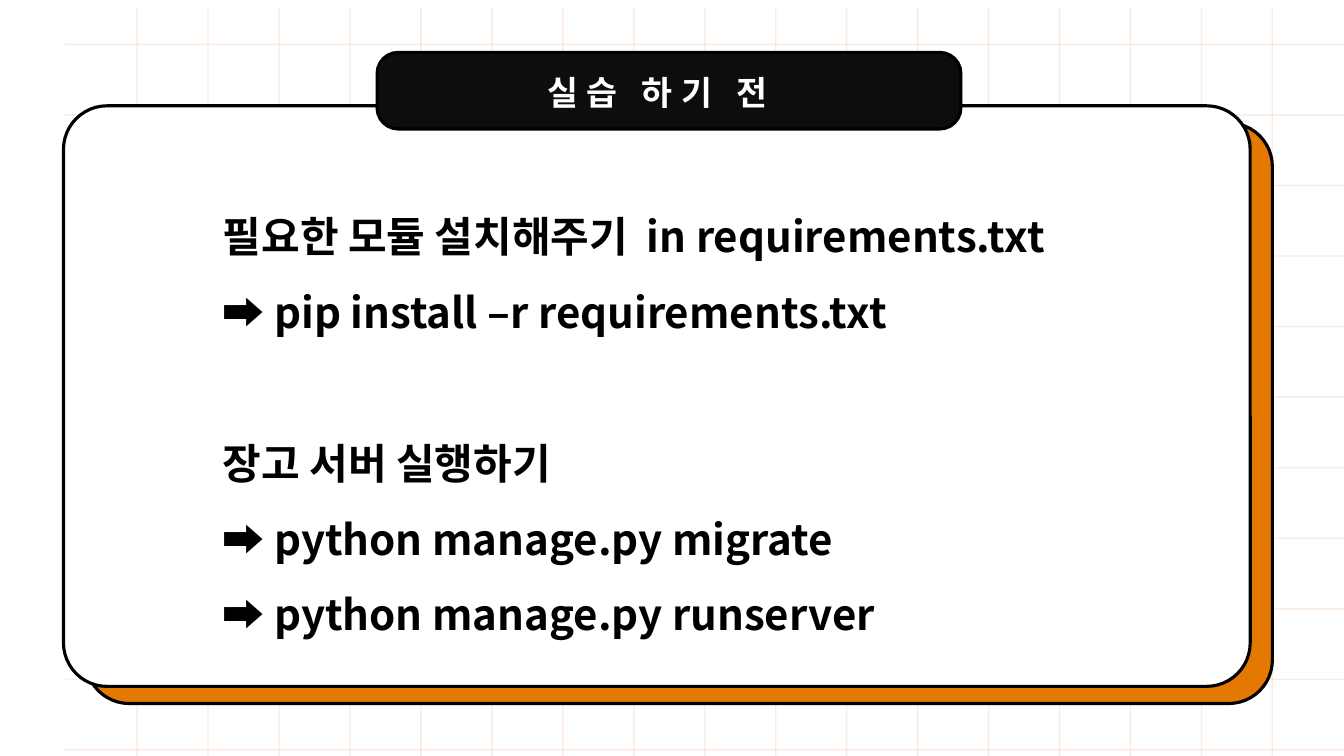
import pptx
import pptx.dml.color
import pptx.enum.shapes
import pptx.enum.text
import pptx.oxml.ns
import pptx.util
from lxml import etree

Inches = pptx.util.Inches
Pt = pptx.util.Pt
COLORS = {"grid": "ED7D31", "shadow": "E37900", "paper": "FFFFFF",
          "tab": "0D0D0D", "ink": "000000"}
FONT = "Noto Sans CJK KR"


def rgb(name):
    return pptx.dml.color.RGBColor.from_string(COLORS[name])


def sub(parent, tag, **attrs):
    return etree.SubElement(parent, pptx.oxml.ns.qn(tag), **attrs)


def add_text(p, text, size, color, spacing=0):
    """Add one bold run; spacing is the extra letter spacing in points."""
    r = p.add_run()
    r.text = text
    r.font.size = Pt(size)
    r.font.bold = True
    r.font.name = FONT
    r.font.color.rgb = rgb(color)
    rpr = r.font._element
    sub(rpr, "a:ea", typeface=FONT)
    if spacing:
        rpr.set("spc", str(int(spacing * 100)))
    return r


class SlideBuilder:
    def __init__(self, slide):
        self.slide = slide
        self.outline = Pt(2.25)

    def group(self):
        return self.slide.shapes.add_group_shape().shapes

    def grid_line(self, shapes, x1, y1, x2, y2):
        line = shapes.add_connector(
            pptx.enum.shapes.MSO_CONNECTOR.STRAIGHT,
            Inches(x1), Inches(y1), Inches(x2), Inches(y2))
        line.line.width = Pt(1)
        line.line.color.rgb = rgb("grid")
        sppr = line._element.spPr
        sub(sppr.find(".//" + pptx.oxml.ns.qn("a:srgbClr")), "a:alpha", val="15000")
        sub(sppr, "a:effectLst")

    def card(self, shapes, x, y, w, h, fill, radius):
        sp = shapes.add_shape(pptx.enum.shapes.MSO_SHAPE.ROUNDED_RECTANGLE,
                              Inches(x), Inches(y), Inches(w), Inches(h))
        sp.adjustments[0] = radius
        sp.shadow.inherit = False
        sp.fill.solid()
        sp.fill.fore_color.rgb = rgb(fill)
        sp.line.color.rgb = rgb("ink")
        sp.line.width = self.outline

    def placeholder(self, sp, x, y, w, h, anchor):
        """Move a placeholder into place, in front of the shapes."""
        self.slide.shapes._spTree.append(sp._element)
        sp.left, sp.top, sp.width, sp.height = map(Inches, (x, y, w, h))
        tf = sp.text_frame
        tf.word_wrap = True
        tf.auto_size = pptx.enum.text.MSO_AUTO_SIZE.NONE
        tf.vertical_anchor = anchor
        return tf

    def title(self, text, x, y, w, h):
        tf = self.placeholder(self.slide.shapes.title, x, y, w, h,
                              pptx.enum.text.MSO_ANCHOR.MIDDLE)
        p = tf.paragraphs[0]
        p.alignment = pptx.enum.text.PP_ALIGN.CENTER
        add_text(p, text, 24, "paper", spacing=6)

    def steps(self, sections, x, y, w, h):
        tf = self.placeholder(self.slide.placeholders[1], x, y, w, h,
                              pptx.enum.text.MSO_ANCHOR.TOP)
        pitch = Pt(54)
        p = None
        for section in sections:
            for i, runs in enumerate(section):
                new_section = p is not None and i == 0
                p = tf.paragraphs[0] if p is None else tf.add_paragraph()
                p.line_spacing = pitch
                p.space_before = pitch if new_section else Pt(0)
                ppr = p._p.get_or_add_pPr()
                ppr.set("marL", "0")
                ppr.set("indent", "0")
                sub(ppr, "a:buNone")
                for text, spacing in runs:
                    add_text(p, text, 30, "ink", spacing)


def main():
    prs = pptx.Presentation()
    prs.slide_width, prs.slide_height = Inches(13.33), Inches(7.5)
    s = SlideBuilder(prs.slides.add_slide(prs.slide_layouts[1]))

    # Background grid
    grid = s.group()
    rows, columns = 11, 17
    for i in range(rows):
        y = 0.44 + 0.7 * i
        s.grid_line(grid, 0.64, y, 13.33, y)
    for i in range(columns):
        x = 1.36 + (12.62 - 1.36) / (columns - 1) * i
        s.grid_line(grid, x, 0.08, x, 7.5)

    # Paper card with its offset backing, and the heading tab
    cards = s.group()
    for x, y, fill in ((0.85, 1.22, "shadow"), (0.63, 1.05, "paper")):
        s.card(cards, x, y, 11.77, 5.76, fill, 0.075)
    s.card(s.slide.shapes, 3.74, 0.52, 5.79, 0.76, "tab", 0.275)

    # Heading and instructions
    s.title("실습 하기 전", 4.25, 0.66, 4.54, 0.5)
    s.steps([
        [[("필요한 모듈 설치해주기", 0), (" ", 6.5), ("in requirements.txt", 0)],
         [("➡️ pip install –r requirements.txt", 0)]],
        [[("장고 서버 실행하기", 0)],
         [("➡️ python manage.py migrate", 0)],
         [("➡️ python manage.py runserver", 0)]],
    ], 2.11, 1.79, 10.82, 4.57)

    prs.save("out.pptx")


if __name__ == "__main__":
    main()
